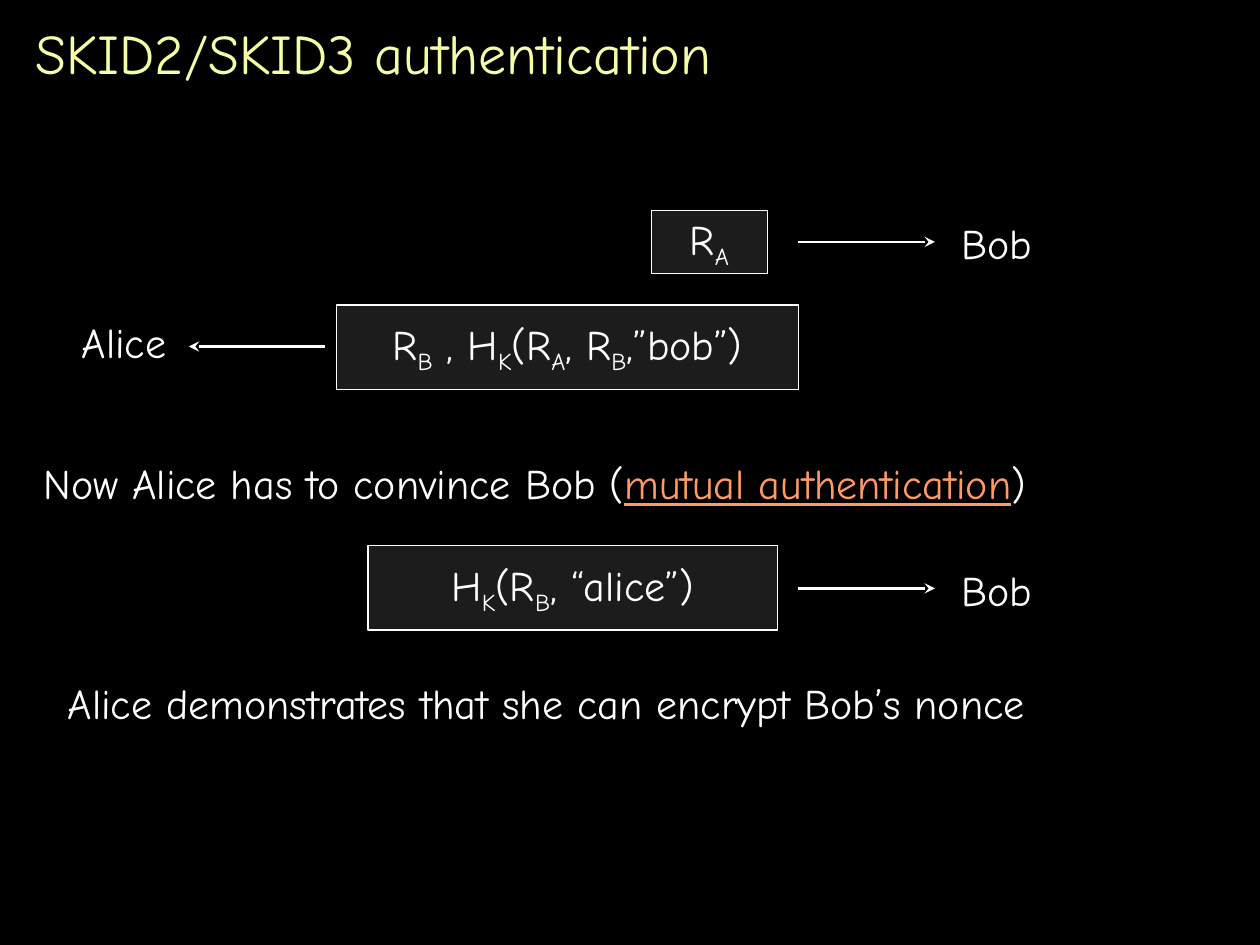
from lxml import etree
from pptx import Presentation
from pptx.dml.color import RGBColor
from pptx.enum import shapes, text
from pptx.oxml.ns import qn
from pptx.util import Inches, Pt

THEME = {
    "font": "Comic Neue",
    "background": RGBColor.from_string("000000"),
    "title": RGBColor.from_string("F5FDA5"),
    "ink": RGBColor.from_string("FFFFFF"),
    "accent": RGBColor.from_string("FF9966"),
    "box": RGBColor.from_string("1C1C1C"),
    "title_size": Pt(32),
    "body_size": Pt(24),
    "box_line": Pt(0.75),
    "arrow_line": Pt(1.5),
}


def write(sp, content, color="ink", size="body_size", mark=None,
          align=text.PP_ALIGN.LEFT, anchor=text.MSO_ANCHOR.TOP, wrap=False):
    """Fill a shape; every second piece between bars is marked "sub" or "accent"."""
    tf = sp.text_frame
    frame = {"word_wrap": wrap, "vertical_anchor": anchor,
             "auto_size": text.MSO_AUTO_SIZE.NONE,
             "margin_left": Inches(0.1), "margin_right": Inches(0.1),
             "margin_top": Inches(0.05), "margin_bottom": Inches(0.05)}
    for name, value in frame.items():
        setattr(tf, name, value)
    p = tf.paragraphs[0]
    p.alignment = align
    for i, piece in enumerate(content.split("|")):
        marked = i % 2 == 1
        r = p.add_run()
        r.text = piece
        r.font.name = THEME["font"]
        r.font.size = THEME[size]
        r.font.color.rgb = THEME[color]
        if marked and mark == "sub":
            r.font._element.set("baseline", "-25000")
        elif marked and mark == "accent":
            r.font.color.rgb = THEME["accent"]
            r.font.underline = True


prs = Presentation()
prs.slide_width, prs.slide_height = Inches(10), Inches(7.5)
s = prs.slides.add_slide(prs.slide_layouts[5])
s.background.fill.solid()
s.background.fill.fore_color.rgb = THEME["background"]

# Title
sp = s.shapes.title
sp.left, sp.top, sp.width, sp.height = map(Inches, (0.18, 0.08, 9.67, 0.67))
write(sp, "SKID2/SKID3 authentication", color="title", size="title_size",
      anchor=text.MSO_ANCHOR.MIDDLE, wrap=True)

# Message boxes, with subscripts between bars
messages = [
    (5.17, 1.67, 0.92, 0.5, "R|A"),
    (2.67, 2.42, 3.67, 0.67, "R|B| , H|K|(R|A|, R|B|,”bob”)"),
    (2.92, 4.33, 3.25, 0.67, "H|K|(R|B|, “alice”)"),
]
for x, y, w, h, content in messages:
    sp = s.shapes.add_shape(shapes.MSO_SHAPE.RECTANGLE, *map(Inches, (x, y, w, h)))
    sp.shadow.inherit = False
    sp.fill.solid()
    sp.fill.fore_color.rgb = THEME["box"]
    sp.line.color.rgb = THEME["ink"]
    sp.line.width = THEME["box_line"]
    write(sp, content, mark="sub", align=text.PP_ALIGN.CENTER,
          anchor=text.MSO_ANCHOR.MIDDLE)

# Arrows from each message to its receiver
for x1, x2, y in [(6.33, 7.42, 1.92), (2.58, 1.5, 2.75), (6.33, 7.42, 4.67)]:
    c = s.shapes.add_connector(shapes.MSO_CONNECTOR.STRAIGHT,
                               *map(Inches, (x1, y, x2, y)))
    c.line.color.rgb = THEME["ink"]
    c.line.width = THEME["arrow_line"]
    etree.SubElement(c.line._get_or_add_ln(), qn("a:tailEnd"), type="stealth")
    etree.SubElement(c._element.spPr, qn("a:effectLst"))

# Receivers and explanations, with the emphasis between bars
labels = [
    (7.53, 1.68, 0.76, False, "Bob"),
    (0.55, 2.46, 0.87, False, "Alice"),
    (0.25, 3.58, 9.5, True, "Now Alice has to convince Bob (|mutual authentication|)"),
    (7.53, 4.43, 0.76, False, "Bob"),
    (0.44, 5.33, 8.56, True, "Alice demonstrates that she can encrypt Bob’s nonce"),
]
for x, y, w, wrap, content in labels:
    sp = s.shapes.add_textbox(*map(Inches, (x, y, w, 0.5)))
    write(sp, content, mark="accent", wrap=wrap)

prs.save("out.pptx")
